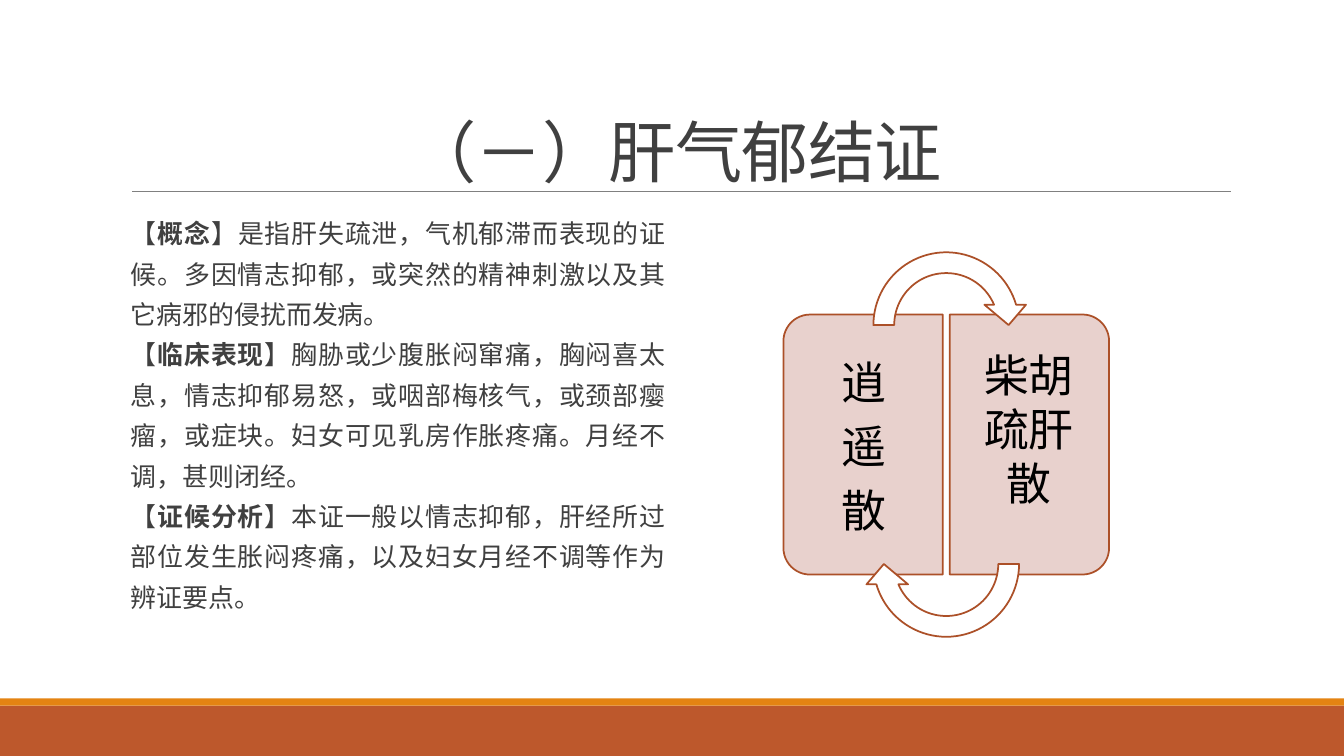
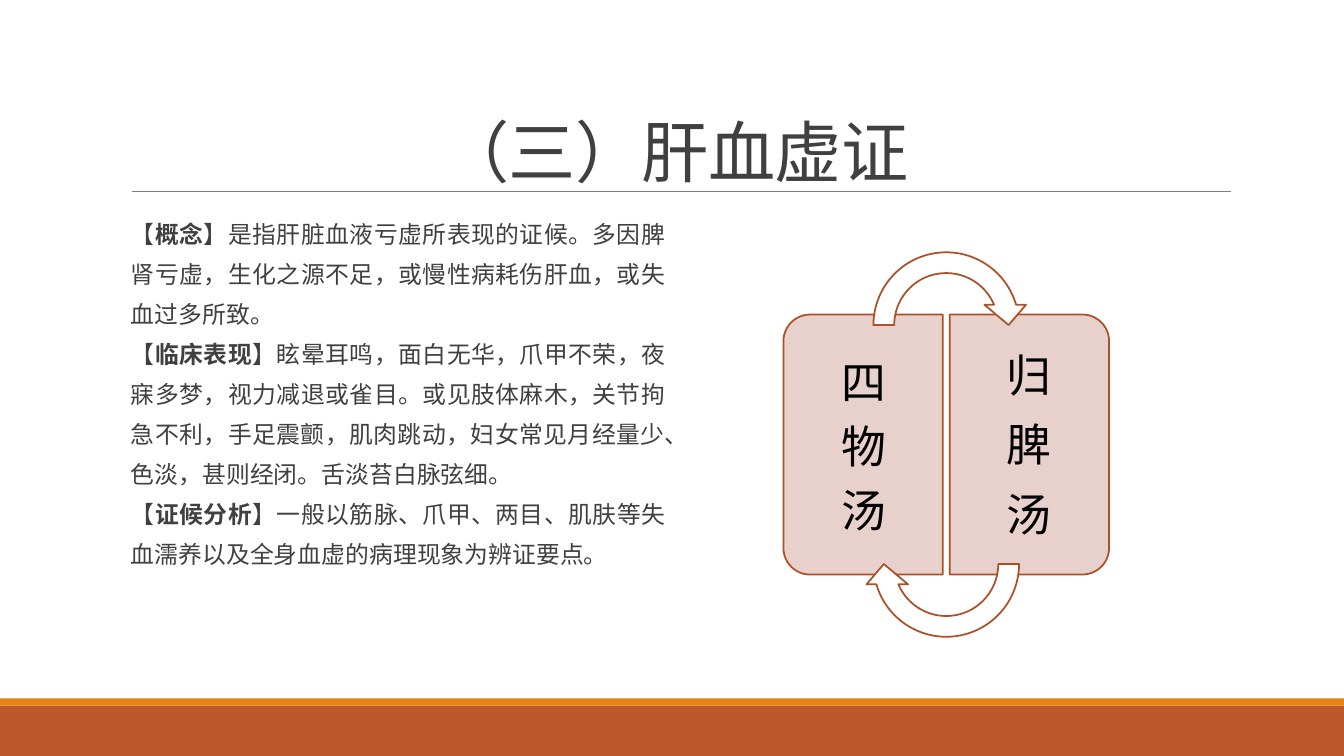
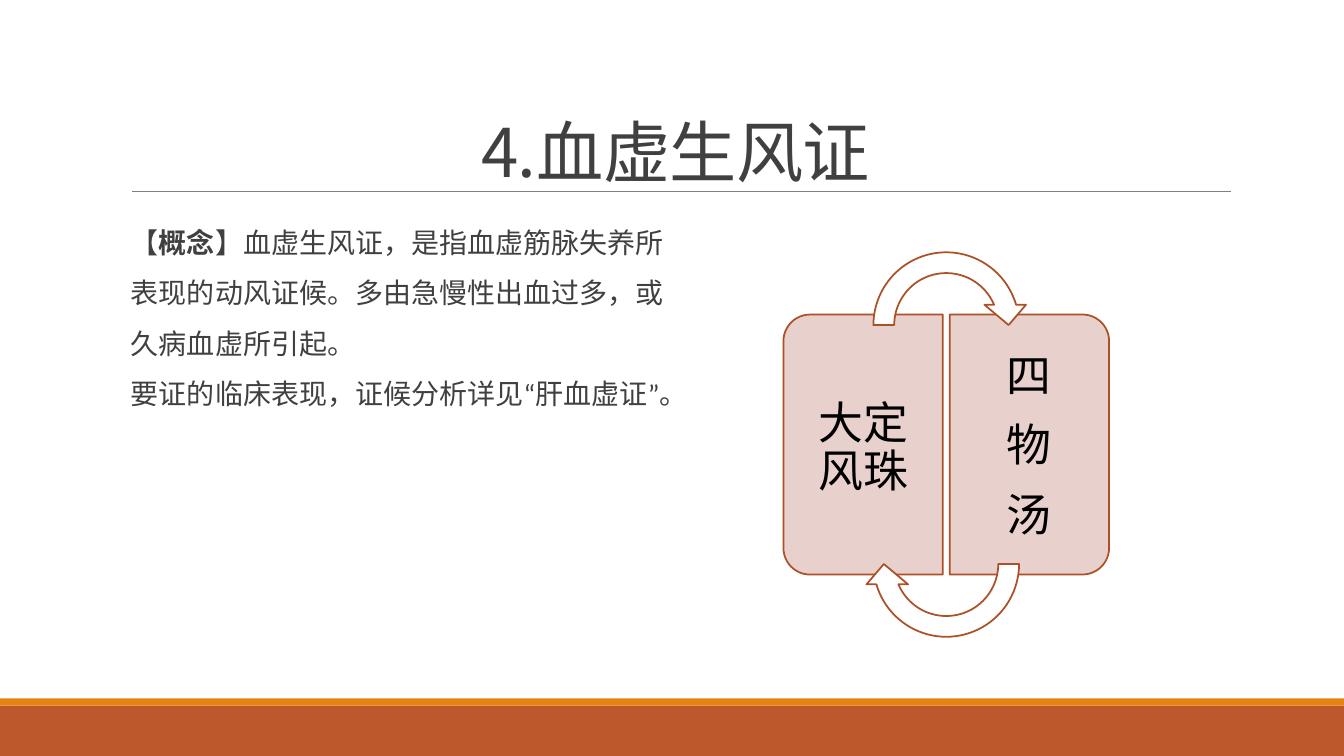
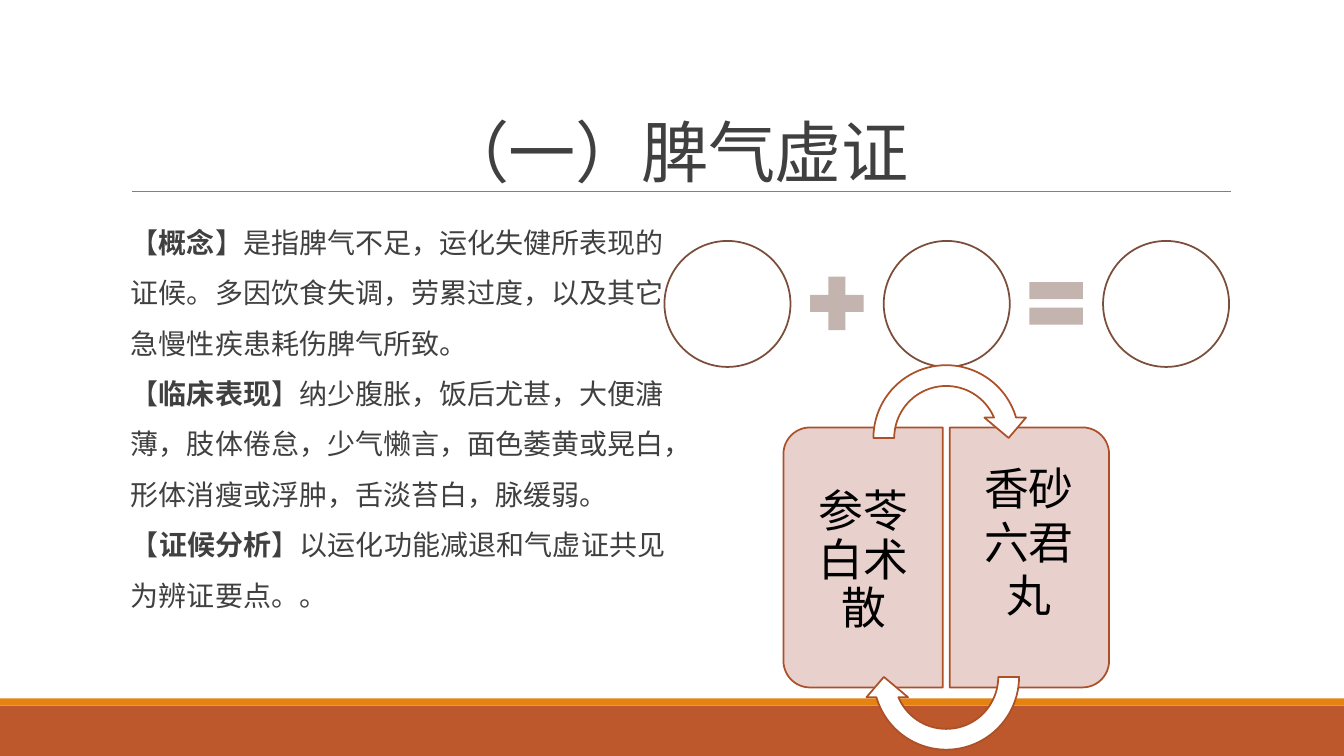
from dataclasses import dataclass

from lxml.etree import SubElement
from pptx import Presentation
from pptx.dml.color import RGBColor
from pptx.enum.lang import MSO_LANGUAGE_ID
from pptx.enum.shapes import MSO_CONNECTOR, MSO_SHAPE
from pptx.enum.text import MSO_ANCHOR, MSO_AUTO_SIZE, PP_ALIGN
from pptx.oxml.ns import qn
from pptx.util import Inches, Pt

LATIN_FONT = "Calibri"
CHINESE_FONT = "Noto Sans CJK SC"
TEXT = "404040"
BLACK = "000000"
WHITE = "FFFFFF"
RULE = "808080"
RUST = "BD582C"
ORANGE = "E48312"
CARD_FILL = "E8D1CD"
CARD_LINE = "AC5028"
CIRCLE_LINE = "7A4E3A"
OPERATOR_FILL = "C3B4B0"

LINE_HEIGHT = 1.2  # single line height as a share of the font size
CARD_SIZE = 32
ARROW_ADJUSTMENTS = (0.125, 11.42, 204.58, 108, 0.125)


@dataclass(frozen=True)
class Section:
    heading: str
    text: str
    justified: bool = True


@dataclass(frozen=True)
class Syndrome:
    title: str
    size: float
    spacing: float
    sections: tuple[Section, ...]
    left_formula: tuple[str, ...]
    right_formula: tuple[str, ...]
    cycle_top: float = 2.4
    has_equation: bool = False


SYNDROMES = (
    Syndrome(
        "（－）肝气郁结证", 18.5, 1.3,
        (
            Section("概念", "是指肝失疏泄，气机郁滞而表现的证候。多因情志抑郁，或突然的精神刺激"
                            "以及其它病邪的侵扰而发病。"),
            Section("临床表现", "胸胁或少腹胀闷窜痛，胸闷喜太息，情志抑郁易怒，或咽部梅核气，"
                                "或颈部瘿瘤，或症块。妇女可见乳房作胀疼痛。月经不调，甚则闭经。"),
            Section("证候分析", "本证一般以情志抑郁，肝经所过部位发生胀闷疼痛，"
                                "以及妇女月经不调等作为辨证要点。"),
        ),
        ("逍", "遥", "散"), ("柴胡疏肝散",),
    ),
    Syndrome(
        "（三）肝血虚证", 17, 1.4,
        (
            Section("概念", "是指肝脏血液亏虚所表现的证候。多因脾肾亏虚，生化之源不足，"
                            "或慢性病耗伤肝血，或失血过多所致。"),
            Section("临床表现", "眩晕耳鸣，面白无华，爪甲不荣，夜寐多梦，视力减退或雀目。"
                                "或见肢体麻木，关节拘急不利，手足震颤，肌肉跳动，"
                                "妇女常见月经量少、色淡，甚则经闭。舌淡苔白脉弦细。"),
            Section("证候分析", "一般以筋脉、爪甲、两目、肌肤等失血濡养"
                                "以及全身血虚的病理现象为辨证要点。"),
        ),
        ("四", "物", "汤"), ("归", "脾", "汤"),
    ),
    Syndrome(
        "4.血虚生风证", 20, 1.5,
        (
            Section("概念", "血虚生风证，是指血虚筋脉失养所表现的动风证候。"
                            "多由急慢性出血过多，或久病血虚所引起。", False),
            Section("", "要证的临床表现，证候分析详见“肝血虚证”。", False),
        ),
        ("大定风珠",), ("四", "物", "汤"),
    ),
    Syndrome(
        "（一）脾气虚证", 20, 1.5,
        (
            Section("概念", "是指脾气不足，运化失健所表现的证候。多因饮食失调，劳累过度，"
                            "以及其它急慢性疾患耗伤脾气所致。", False),
            Section("临床表现", "纳少腹胀，饭后尤甚，大便溏薄，肢体倦怠，少气懒言，"
                                "面色萎黄或晃白，形体消瘦或浮肿，舌淡苔白，脉缓弱。", False),
            Section("证候分析", "以运化功能减退和气虚证共见为辨证要点。。"),
        ),
        ("参苓白术散",), ("香砂六君丸",),
        cycle_top=3.52, has_equation=True,
    ),
)


def color(value: str) -> RGBColor:
    return RGBColor.from_string(value)


def add_run(paragraph, text: str, size: float, font_name: str, text_color: str, bold=False):
    run = paragraph.add_run()
    run.text = text
    font = run.font
    font.size = Pt(size)
    font.name = font_name
    font.bold = bold
    font.color.rgb = color(text_color)
    font.language_id = MSO_LANGUAGE_ID.SIMPLIFIED_CHINESE
    SubElement(run._r.get_or_add_rPr(), qn("a:ea"), typeface=font_name)
    return run


def set_frame(frame, anchor, left=0.1, top=0.05, right=0.1, bottom=0.05) -> None:
    frame.word_wrap = True
    frame.auto_size = MSO_AUTO_SIZE.NONE
    frame.vertical_anchor = anchor
    frame.margin_left, frame.margin_top = Inches(left), Inches(top)
    frame.margin_right, frame.margin_bottom = Inches(right), Inches(bottom)


def next_paragraph(frame, index: int):
    return frame.add_paragraph() if index else frame.paragraphs[0]


def add_box(slide, left: float, top: float, width: float, height: float):
    return slide.shapes.add_textbox(Inches(left), Inches(top), Inches(width), Inches(height))


def add_shape(slide, kind, left: float, top: float, width: float, height: float,
              fill: str, line: str = "", rotation=0, adjustments=()):
    shape = slide.shapes.add_shape(
        kind, Inches(left), Inches(top), Inches(width), Inches(height))
    shape.shadow.inherit = False
    shape.rotation = rotation
    for index, value in enumerate(adjustments):
        shape.adjustments[index] = value
    shape.fill.solid()
    shape.fill.fore_color.rgb = color(fill)
    if line:
        shape.line.color.rgb = color(line)
        shape.line.width = Pt(1.25)
    else:
        shape.line.fill.background()
    return shape


def decorate_layout(layout, slide) -> None:
    """Draw the bands and the title rule, then move them into the shared layout."""
    rule = slide.shapes.add_connector(
        MSO_CONNECTOR.STRAIGHT, Inches(1.31), Inches(1.9), Inches(12.21), Inches(1.9))
    rule.line.color.rgb = color(RULE)
    rule.line.width = Pt(0.5)
    SubElement(rule._element.spPr, qn("a:effectLst"))
    lower_band = add_shape(slide, MSO_SHAPE.RECTANGLE, 0, 7, 13.33, 0.5, RUST)
    upper_band = add_shape(slide, MSO_SHAPE.RECTANGLE, 0, 6.93, 13.33, 0.07, ORANGE)
    for shape in (lower_band, upper_band, rule):
        layout.shapes._spTree.append(shape._element)


def set_title(slide, text: str) -> None:
    title = slide.shapes.title
    title.left, title.top = Inches(1.2), Inches(0.31)
    title.width, title.height = Inches(11), Inches(1.59)
    set_frame(title.text_frame, MSO_ANCHOR.BOTTOM, bottom=0)
    paragraph = title.text_frame.paragraphs[0]
    paragraph.alignment = PP_ALIGN.CENTER
    paragraph.line_spacing = 0.85
    run = add_run(paragraph, text, 48, CHINESE_FONT, TEXT)
    run._r.get_or_add_rPr().set("spc", "-50")


def add_sections(slide, syndrome: Syndrome) -> None:
    frame = add_box(slide, 1.2, 2.02, 5.4, 4.4).text_frame
    set_frame(frame, MSO_ANCHOR.TOP, left=0.1, right=0)
    style = (syndrome.size, LATIN_FONT, TEXT)
    for index, section in enumerate(syndrome.sections):
        paragraph = next_paragraph(frame, index)
        paragraph.alignment = PP_ALIGN.JUSTIFY if section.justified else PP_ALIGN.LEFT
        paragraph.line_spacing = Pt(syndrome.size * LINE_HEIGHT * syndrome.spacing)
        paragraph._p.get_or_add_pPr().set("hangingPunct", "1")
        if section.heading:
            add_run(paragraph, "【", *style)
            add_run(paragraph, section.heading, *style, bold=True)
            add_run(paragraph, "】" + section.text, *style)
        else:
            add_run(paragraph, section.text, *style)


def add_formula(slide, lines: tuple[str, ...], left: float, top: float, anchor,
                spacing: float, margin_left: float, margin_right: float) -> None:
    frame = add_box(slide, left, top, 1.5, 2.43).text_frame
    set_frame(frame, anchor, margin_left, 0.25, margin_right, 0.19)
    for index, line in enumerate(lines):
        paragraph = next_paragraph(frame, index)
        paragraph.alignment = PP_ALIGN.CENTER
        paragraph.line_spacing = Pt(CARD_SIZE * LINE_HEIGHT * spacing)
        paragraph.space_after = Pt(CARD_SIZE * 0.35)
        add_run(paragraph, line, CARD_SIZE, CHINESE_FONT, BLACK)


def add_cycle(slide, syndrome: Syndrome) -> None:
    """Two formula cards side by side, joined by a curved arrow above and below."""
    top = syndrome.cycle_top
    for left, rotation in ((7.27, 270), (8.92, 90)):
        add_shape(slide, MSO_SHAPE.ROUND_2_SAME_RECTANGLE, left, top + 1.22, 2.58, 1.58,
                  CARD_FILL, CARD_LINE, rotation, (0.167, 0))
    add_formula(slide, syndrome.left_formula, 7.85, top + 0.8, MSO_ANCHOR.MIDDLE, 0.9, 0.13, 0.2)
    add_formula(slide, syndrome.right_formula, 9.42, top + 0.8, MSO_ANCHOR.TOP, 1, 0.2, 0.13)
    for offset, rotation in ((0, 0), (2.37, 180)):
        add_shape(slide, MSO_SHAPE.CIRCULAR_ARROW, 8.56, top + offset, 1.65, 1.65,
                  WHITE, CARD_LINE, rotation, ARROW_ADJUSTMENTS)


def add_equation(slide) -> None:
    """Three empty circles with a plus and an equals sign between them."""
    left, step = 6.59, 2.175
    for index in range(3):
        add_shape(slide, MSO_SHAPE.OVAL, left + index * step, 2.39, 1.25, 1.25,
                  WHITE, CIRCLE_LINE)
    for index, kind in enumerate((MSO_SHAPE.MATH_PLUS, MSO_SHAPE.MATH_EQUAL)):
        add_shape(slide, kind, left + 1.35 + index * step, 2.65, 0.72, 0.72, OPERATOR_FILL)


def main() -> None:
    presentation = Presentation()
    presentation.slide_width, presentation.slide_height = Inches(13.33), Inches(7.5)
    layout = presentation.slide_layouts.get_by_name("Title Only")
    for index, syndrome in enumerate(SYNDROMES):
        slide = presentation.slides.add_slide(layout)
        if index == 0:
            decorate_layout(layout, slide)
        set_title(slide, syndrome.title)
        add_sections(slide, syndrome)
        if syndrome.has_equation:
            add_equation(slide)
        add_cycle(slide, syndrome)
    presentation.save("out.pptx")


if __name__ == "__main__":
    main()
